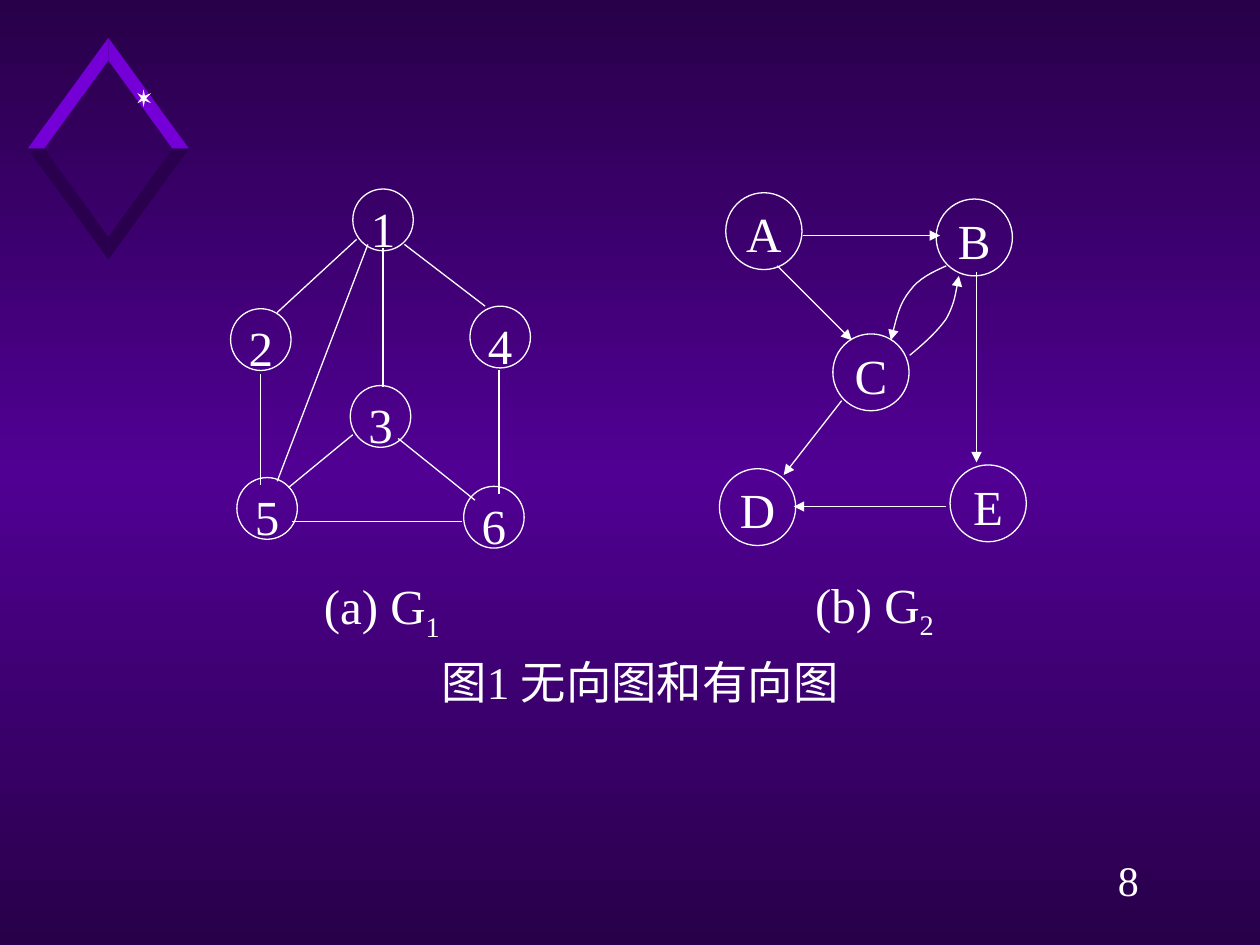
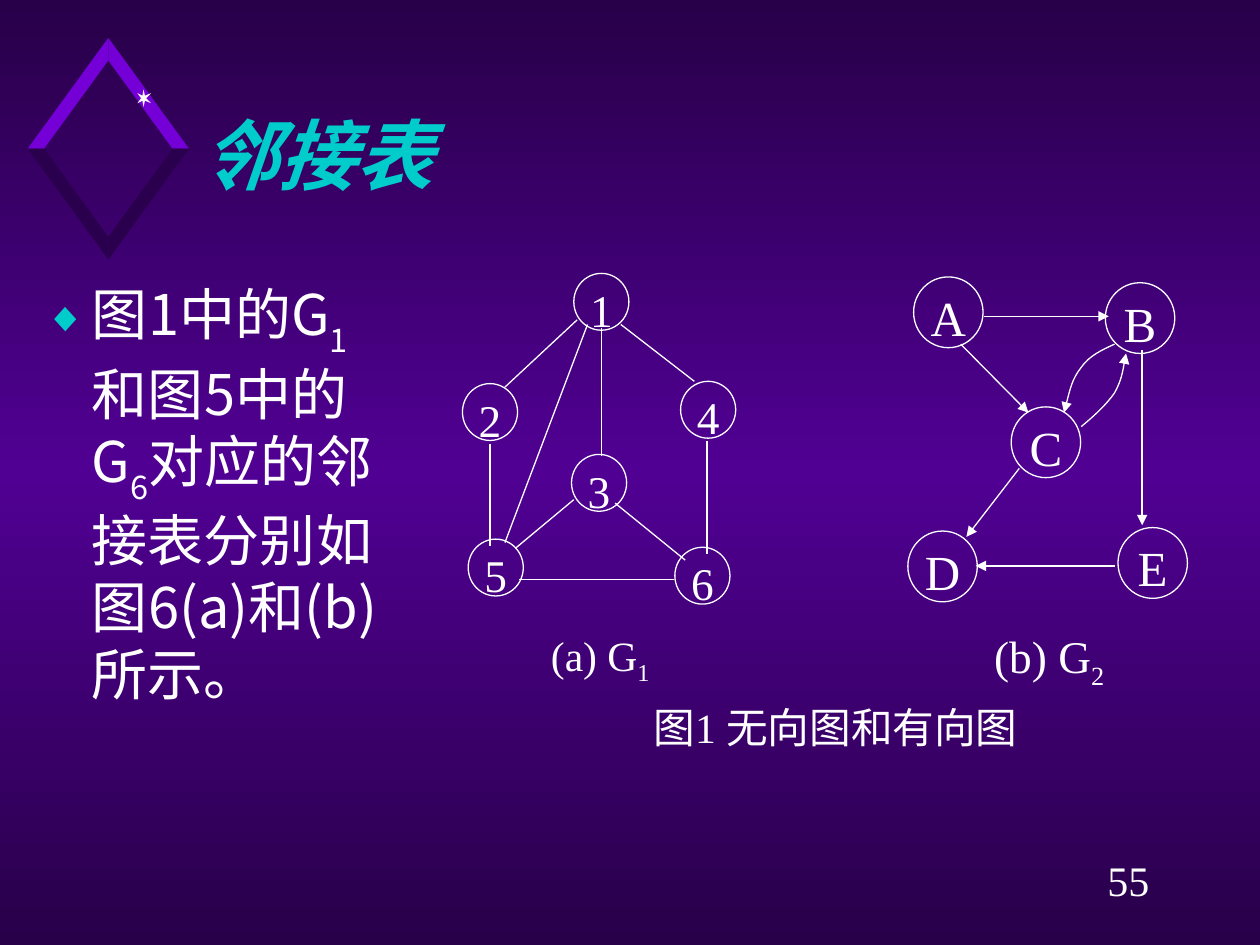
from copy import deepcopy
from dataclasses import dataclass

from lxml import etree
from pptx import Presentation, util as u
from pptx.dml.color import RGBColor
from pptx.enum import shapes, text
from pptx.oxml.ns import qn


@dataclass(frozen=True)
class Theme:
    night: RGBColor = RGBColor(0x28, 0x00, 0x49)
    violet: RGBColor = RGBColor(0x50, 0x00, 0x93)
    glow: RGBColor = RGBColor(0x75, 0x00, 0xD7)
    shade: RGBColor = RGBColor(0x2A, 0x00, 0x4E)
    spark: RGBColor = RGBColor(0xF9, 0xF9, 0xF9)
    ink: RGBColor = RGBColor(0xFF, 0xFF, 0xFF)
    accent: RGBColor = RGBColor(0x00, 0xCC, 0xCC)
    serif: str = "Times New Roman"
    sans: str = "Noto Sans CJK SC"
    title: float = 44
    body: float = 32
    page: float = 24
    stroke: float = 0.75


theme = Theme()
deck = Presentation()
deck.slide_width, deck.slide_height = u.Inches(10), u.Inches(7.5)
cell = deck.slide_width // 1000


def write(frame, pieces, size, face=theme.serif, color=theme.ink,
          align=text.PP_ALIGN.CENTER, drop=-25, inset=0):
    frame.word_wrap = True
    frame.auto_size = text.MSO_AUTO_SIZE.NONE
    frame.vertical_anchor = text.MSO_ANCHOR.TOP
    frame.margin_left = frame.margin_right = 2 * inset
    frame.margin_top = frame.margin_bottom = inset
    para = frame.paragraphs[0]
    para.alignment = align
    para.space_before = u.Pt(0)
    for index, piece in enumerate(pieces):
        span = para.add_run()
        span.text = piece
        span.font.size = u.Pt(size)
        span.font.name = face
        span.font.color.rgb = color
        properties = span.font._element
        etree.SubElement(properties, qn("a:ea"), typeface=theme.sans)
        if index % 2:
            properties.set("baseline", str(drop * 1000))
    return para


def stroke(shape, arrow=False):
    shape.line.color.rgb = theme.ink
    shape.line.width = u.Pt(theme.stroke)
    properties = shape._element.spPr
    if arrow:
        etree.SubElement(properties.find(qn("a:ln")), qn("a:tailEnd"), type="triangle")
    if properties.find(qn("a:effectLst")) is None:
        etree.SubElement(properties, qn("a:effectLst"))


fill = deck.slide_master.background.fill
fill.gradient()
fill.gradient_angle = 90
for stop, color, position in zip(fill.gradient_stops, (theme.night, theme.violet), (0, 0.5)):
    stop.color.rgb = color
    stop.position = position
stops = next(deck.slide_master._element.iter(qn("a:gsLst")))
last_stop = deepcopy(stops[0])
last_stop.set("pos", "100000")
stops.append(last_stop)

emblem = [
    ([(86, 118 - 70 * rise), (86, 118 - 88 * rise), (86 + 64 * side, 118), (86 + 51 * side, 118)], color)
    for rise, color in ((1, theme.glow), (-1, theme.shade)) for side in (1, -1)
]
emblem.append(([(109, 74), (113, 76), (114, 71), (115, 76), (120, 74), (116, 78),
                (120, 82), (115, 80), (114, 85), (113, 80), (109, 82), (112, 78)], theme.spark))

figure_columns, figure_rows = 631, 418
graphs = [
    dict(
        label=("(a) G", "1"), label_at=(34, 307), size=(48, 49), arrow=False,
        nodes={"1": (97, 0), "2": (0, 95), "4": (190, 93),
               "5": (5, 229), "3": (95, 156), "6": (185, 236)},
        edges=[(100, 40, 37, 98), (138, 44, 202, 93), (24, 147, 24, 235),
               (109, 44, 37, 232), (49, 264, 184, 264), (213, 144, 213, 242),
               (97, 195, 46, 237), (133, 198, 194, 247), (121, 47, 121, 157)],
        curves=[],
    ),
    dict(
        label=("(b) G", "2"), label_at=(425, 306), size=(60.5, 61), arrow=True,
        nodes={"A": (393, 3), "B": (560, 8), "C": (478, 115),
               "E": (571, 219), "D": (388, 222)},
        edges=[(454, 37, 563, 37), (434, 61, 493, 120), (485, 168, 439, 227),
               (568, 252, 447, 252), (592, 66, 592, 217)],
        curves=[[(568, 61), (557, 66), (546, 71), (539, 81), (531, 91), (528, 105), (524, 120)],
                [(539, 132), (550, 123), (561, 113), (568, 103), (574, 92), (576, 80), (578, 69)]],
    ),
]

pages = [
    dict(layout=6, number="8", frame=(183, 150, 631, 418),
         node_sizes=(28, 28), label_sizes=(28, 28), caption_size=25.9),
    dict(layout=1, number="55", frame=(367, 217, 575, 385),
         node_sizes=(25.9, 28), label_sizes=(23.8, 25.9), caption_size=23.8,
         title="邻接表",
         body=("图1中的G", "1", "和图5中的G", "6", "对应的邻接表分别如图6(a)和(b)所示。")),
]

for page in pages:
    slide = deck.slides.add_slide(deck.slide_layouts[page["layout"]])
    canvas = slide.shapes

    for points, color in emblem:
        facet = canvas.build_freeform(*points[0], scale=cell).add_line_segments(points[1:]).convert_to_shape()
        facet.fill.solid()
        facet.fill.fore_color.rgb = color
        facet.line.fill.background()
        facet.shadow.inherit = False

    number = canvas.add_textbox(858 * cell, 673 * cell, 75 * cell, 50 * cell)
    write(number.text_frame, [page["number"]], theme.page, inset=5 * cell)

    if "title" in page:
        title, body = slide.placeholders
        title.left, title.top, title.width, title.height = (n * cell for n in (150, 52, 775, 140))
        para = write(title.text_frame, [page["title"]], theme.title, theme.sans, theme.accent,
                     text.PP_ALIGN.LEFT, inset=5 * cell)
        title.text_frame.vertical_anchor = text.MSO_ANCHOR.MIDDLE
        para.runs[0].font.bold = para.runs[0].font.italic = True

        body.left, body.top, body.width, body.height = (n * cell for n in (25, 217, 300, 367))
        para = write(body.text_frame, page["body"], theme.body, theme.sans,
                     align=text.PP_ALIGN.LEFT, drop=-30, inset=5 * cell)
        properties = para._p.get_or_add_pPr()
        properties.set("marL", str(38 * cell))
        properties.set("indent", str(-38 * cell))
        bullet_color = etree.SubElement(properties, qn("a:buClr"))
        etree.SubElement(bullet_color, qn("a:srgbClr"), val=str(theme.accent))
        etree.SubElement(properties, qn("a:buSzPct"), val="75000")
        etree.SubElement(properties, qn("a:buChar"), char="◆")

    left, top, width, height = (n * cell for n in page["frame"])
    column, row = width / figure_columns, height / figure_rows

    for graph, node_size, label_size in zip(graphs, page["node_sizes"], page["label_sizes"]):
        wide, high = graph["size"]
        for name, (x, y) in graph["nodes"].items():
            node = canvas.add_shape(shapes.MSO_SHAPE.OVAL, int(left + x * column), int(top + y * row),
                                    int(wide * column), int(high * row))
            node.fill.background()
            stroke(node)
            write(node.text_frame, [name], node_size)

        for x1, y1, x2, y2 in graph["edges"]:
            edge = canvas.add_connector(
                shapes.MSO_CONNECTOR.STRAIGHT, int(left + x1 * column), int(top + y1 * row),
                int(left + x2 * column), int(top + y2 * row))
            stroke(edge, graph["arrow"])

        for points in graph["curves"]:
            builder = canvas.build_freeform(*points[0], scale=(column, row))
            curve = builder.add_line_segments(points[1:], close=False).convert_to_shape(int(left), int(top))
            curve.fill.background()
            stroke(curve, graph["arrow"])
            outline = next(curve._element.iter(qn("a:path")))
            segments = outline.findall(qn("a:lnTo"))
            for start in range(0, len(segments), 3):
                bend = etree.SubElement(outline, qn("a:cubicBezTo"))
                for segment in segments[start:start + 3]:
                    bend.append(segment[0])
                    outline.remove(segment)

        x, y = graph["label_at"]
        label = canvas.add_textbox(int(left + x * column), int(top + y * row),
                                   int(172 * column), int(54 * row))
        write(label.text_frame, graph["label"], label_size)

    caption = canvas.add_textbox(int(left + 153 * column), int(top + 369 * row),
                                 int(344 * column), int(49 * row))
    write(caption.text_frame, ["图1 无向图和有向图"], page["caption_size"])

deck.save("out.pptx")
